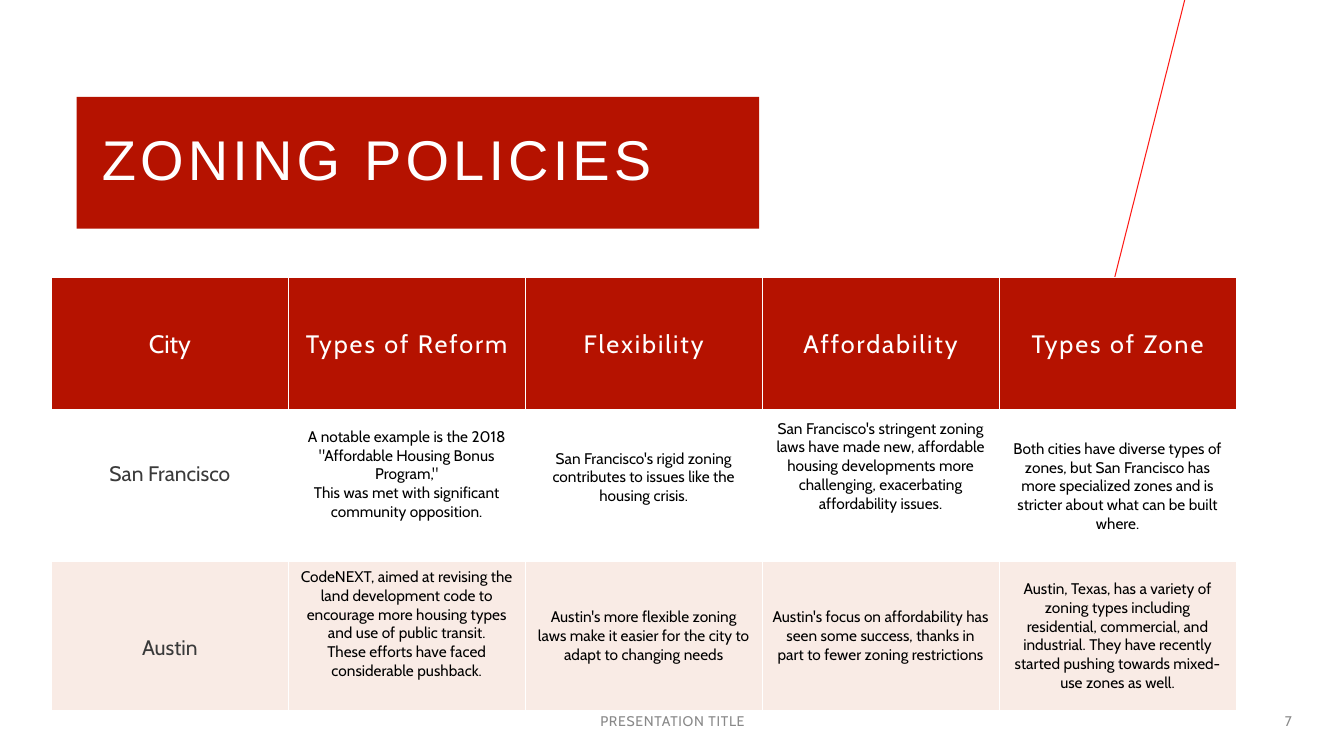
from dataclasses import dataclass
from lxml import etree
from pptx import Presentation
from pptx.dml.color import RGBColor
from pptx.enum.shapes import MSO_CONNECTOR
from pptx.enum.text import MSO_ANCHOR, PP_ALIGN
from pptx.oxml.ns import qn
from pptx.util import Inches, Pt

MIDDLE = MSO_ANCHOR.MIDDLE
LEFT, CENTER, RIGHT = PP_ALIGN.LEFT, PP_ALIGN.CENTER, PP_ALIGN.RIGHT
STRAIGHT = MSO_CONNECTOR.STRAIGHT

TITLE = "ZONING POLICIES"
HEADERS = ["City", "Types of Reform", "Flexibility", "Affordability", "Types of Zone"]
POLICIES = [
    [
        ["San Francisco"],
        ['A notable example is the 2018 "Affordable Housing Bonus Program,"',
         "This was met with significant community opposition."],
        ["San Francisco's rigid zoning contributes to issues like the housing crisis."],
        ["San Francisco's stringent zoning laws have made new, affordable housing "
         "developments more challenging, exacerbating affordability issues."],
        ["Both cities have diverse types of zones, but San Francisco has more "
         "specialized zones and is stricter about what can be built where."],
    ],
    [
        ["Austin"],
        ["CodeNEXT, aimed at revising the land development code to encourage more "
         "housing types and use of public transit.",
         "These efforts have faced considerable pushback."],
        ["Austin's more flexible zoning laws make it easier for the city to adapt "
         "to changing needs"],
        ["Austin's focus on affordability has seen some success, thanks in part to "
         "fewer zoning restrictions"],
        ["Austin, Texas, has a variety of zoning types including residential, "
         "commercial, and industrial. They have recently started pushing towards "
         "mixed-use zones as well."],
    ],
]
TEXT_RISE = [[0.12, 0.12, 0.09, 0.2, 0], [-0.12, 0.12, 0, 0, 0]]
FOOTERS = [
    ("PRESENTATION TITLE", 4.42, 4.5, CENTER, 0.5),
    ("7", 11.23, 1.68, RIGHT, 0),
]
ROW_HEIGHTS = [1.33, 1.49, 1.48]
COLUMN_WIDTH = 2.35
CELL_MARGIN = 0.05


@dataclass(frozen=True)
class Theme:
    red: str = "B51200"
    accent: str = "FD1B17"
    white: str = "FFFFFF"
    blush: str = "F9EBE5"
    city: str = "3A3A3A"
    body: str = "000000"
    footer: str = "898989"
    title_font: str = "Arial"
    text_font: str = "Cabin"
    title_size: float = 40
    header_size: float = 18
    city_size: float = 15
    body_size: float = 11
    footer_size: float = 10


THEME = Theme()


def paint(fill, color):
    fill.solid()
    fill.fore_color.rgb = RGBColor.from_string(color)


def write(frame, lines, size, color, align=CENTER, font=THEME.text_font, spacing=0):
    frame.word_wrap = True
    for index, line in enumerate(lines):
        para = frame.paragraphs[0] if index == 0 else frame.add_paragraph()
        para.alignment = align
        span = para.add_run()
        span.text = line
        para.font.name = font
        para.font.size = Pt(size)
        para.font.bold = False
        para.font.color.rgb = RGBColor.from_string(color)
        if spacing:
            span.font._element.set("spc", str(round(spacing * 100)))


def add_borders(cell, bottom):
    properties = cell._tc.get_or_add_tcPr()
    for side, width in (("L", 1), ("R", 1), ("T", 1), ("B", bottom)):
        line = etree.SubElement(properties, qn(f"a:ln{side}"), w=str(Pt(width)))
        fill = etree.SubElement(line, qn("a:solidFill"))
        etree.SubElement(fill, qn("a:srgbClr"), val=THEME.white)


def fill_cell(cell, lines, size, color, background, spacing=0, rise=0, bottom=1):
    add_borders(cell, bottom)
    paint(cell.fill, background)
    cell.vertical_anchor = MIDDLE
    cell.margin_top = Inches(CELL_MARGIN + max(-2 * rise, 0))
    cell.margin_bottom = Inches(CELL_MARGIN + max(2 * rise, 0))
    write(cell.text_frame, lines, size, color, spacing=spacing)


def add_title(page):
    title = page.shapes.title
    title.left, title.top = Inches(0.76), Inches(0.96)
    title.width, title.height = Inches(6.77), Inches(1.31)
    paint(title.fill, THEME.red)
    frame = title.text_frame
    frame.vertical_anchor = MIDDLE
    frame.margin_left = Inches(0.25)
    write(frame, [TITLE], THEME.title_size, THEME.white, LEFT, THEME.title_font, 3)
    frame.paragraphs[0].line_spacing = 0.9


def add_accent_line(page):
    line = page.shapes.add_connector(
        STRAIGHT, Inches(11.75), Inches(0), Inches(10.07), Inches(6.66))
    line.line.color.rgb = RGBColor.from_string(THEME.accent)
    line.line.width = Pt(0.75)
    etree.SubElement(line._element.spPr, qn("a:effectLst"))


def add_policy_table(page):
    table = page.shapes.add_table(
        len(ROW_HEIGHTS), len(HEADERS), Inches(0.51), Inches(2.75),
        Inches(COLUMN_WIDTH * len(HEADERS)), Inches(sum(ROW_HEIGHTS))).table
    table.horz_banding = False
    for column in table.columns:
        column.width = Inches(COLUMN_WIDTH)
    for row, height in zip(table.rows, ROW_HEIGHTS):
        row.height = Inches(height)
    for column, header in enumerate(HEADERS):
        fill_cell(table.cell(0, column), [header], THEME.header_size, THEME.white,
                  THEME.red, spacing=1.4 if column else 0, bottom=3)
    backgrounds = [THEME.white, THEME.blush]
    for row, (policies, background) in enumerate(zip(POLICIES, backgrounds)):
        for column, lines in enumerate(policies):
            size, color = ((THEME.body_size, THEME.body) if column
                           else (THEME.city_size, THEME.city))
            fill_cell(table.cell(row + 1, column), lines, size, color, background,
                      rise=TEXT_RISE[row][column])


def add_footers(page):
    for text, left, width, align, spacing in FOOTERS:
        box = page.shapes.add_textbox(
            Inches(left), Inches(6.95), Inches(width), Inches(0.4))
        box.text_frame.vertical_anchor = MIDDLE
        write(box.text_frame, [text], THEME.footer_size, THEME.footer, align,
              spacing=spacing)


def main():
    deck = Presentation()
    deck.slide_width, deck.slide_height = Inches(13.33), Inches(7.5)
    page = deck.slides.add_slide(deck.slide_layouts[5])
    add_title(page)
    add_accent_line(page)
    add_policy_table(page)
    add_footers(page)
    deck.save("out.pptx")


if __name__ == "__main__":
    main()
